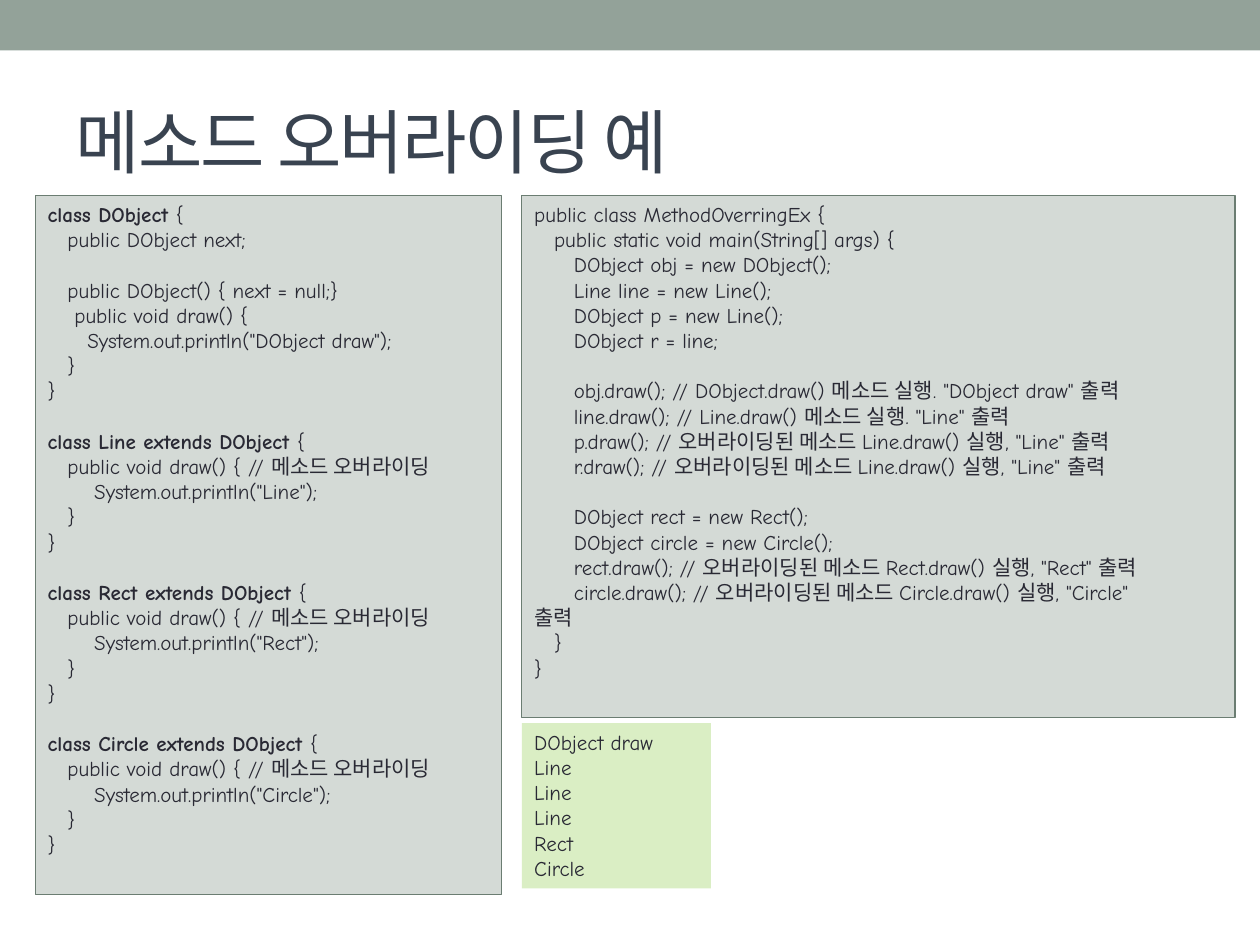
import pptx
import pptx.util
import pptx.dml.color
import pptx.enum.shapes
import pptx.enum.text
import pptx.oxml.ns
import lxml.etree

Cm, Pt = pptx.util.Cm, pptx.util.Pt

# Content; an empty line in a listing becomes space before the next line
TITLE = "메소드 오버라이딩 예"

BASE_CLASS = [
    "class DObject {",
    "\tpublic DObject next;",
    "",
    "\tpublic DObject() { next = null;}",
    "\t public void draw() {",
    '\t\tSystem.out.println("DObject draw");',
    "\t}",
    "}",
]
SUBCLASSES = ["Line", "Rect", "Circle"]
MAIN_CLASS = [
    "public class MethodOverringEx {",
    "\tpublic static void main(String[] args) {",
    "\t\tDObject obj = new DObject();",
    "\t\tLine line = new Line();",
    "\t\tDObject p = new Line();",
    "\t\tDObject r = line;",
    "",
    '\t\tobj.draw(); // DObject.draw() 메소드 실행. "DObject draw" 출력',
    '\t\tline.draw(); // Line.draw() 메소드 실행. "Line" 출력',
    '\t\tp.draw(); // 오버라이딩된 메소드 Line.draw() 실행, "Line" 출력',
    '\t\tr.draw(); // 오버라이딩된 메소드 Line.draw() 실행, "Line" 출력',
    "",
    "\t\tDObject rect = new Rect();",
    "\t\tDObject circle = new Circle();",
    '\t\trect.draw(); // 오버라이딩된 메소드 Rect.draw() 실행, "Rect" 출력',
    '\t\tcircle.draw(); // 오버라이딩된 메소드 Circle.draw() 실행, "Circle"',
    "출력",
    "\t}",
    "}",
]
OUTPUT = ["DObject draw", "Line", "Line", "Line", "Rect", "Circle"]

COLORS = {
    "band": "93A299",
    "title": "394350",
    "text": "292934",
    "code": "D4DAD6",
    "border": "6B7D72",
    "output": "DAEEC4",
}
CODE_FONT, KOREAN_FONT = "Comic Neue", "Noto Sans CJK KR"
CODE_SIZE = 12
LINE_HEIGHT = 1.2 * CODE_SIZE
TAB_STEP = 0.4  # cm

# Layout in cm
LEFT_X, RIGHT_X = 0.71, 10.52
CODE_TOP, OUTPUT_TOP = 3.94, 14.58


def subclass_lines(name):
    return [
        "",
        f"class {name} extends DObject {{",
        "\tpublic void draw() { // 메소드 오버라이딩",
        f'\t\t System.out.println("{name}");',
        "\t}",
        "}",
    ]


def color(name):
    return pptx.dml.color.RGBColor.from_string(COLORS[name])


def add_text(paragraph, text, size=CODE_SIZE, font=CODE_FONT, fill="text", bold=False, spacing=None):
    run = paragraph.add_run()
    run.text = text
    run.font.size = Pt(size)
    run.font.name = font
    run.font.bold = bold
    run.font.color.rgb = color(fill)
    properties = run.font._element
    east_asian = lxml.etree.SubElement(properties, pptx.oxml.ns.qn("a:ea"))
    east_asian.set("typeface", KOREAN_FONT)
    if spacing is not None:
        properties.set("spc", str(spacing * 100))


def add_rectangle(slide, left, top, width, height, fill, border=None):
    shape = slide.shapes.add_shape(
        pptx.enum.shapes.MSO_SHAPE.RECTANGLE, Cm(left), Cm(top), Cm(width), Cm(height)
    )
    shape.shadow.inherit = False
    shape.fill.solid()
    shape.fill.fore_color.rgb = color(fill)
    if border:
        shape.line.color.rgb = color(border)
        shape.line.width = Pt(0.75)
    else:
        shape.line.fill.background()
    return shape


def set_tab_stops(paragraph):
    tab_list = lxml.etree.SubElement(
        paragraph._p.get_or_add_pPr(), pptx.oxml.ns.qn("a:tabLst")
    )
    for level in (1, 2):
        tab = lxml.etree.SubElement(tab_list, pptx.oxml.ns.qn("a:tab"))
        tab.set("pos", str(Cm(TAB_STEP * level)))
        tab.set("algn", "l")


def write_listing(shape, lines):
    frame = shape.text_frame
    frame.word_wrap = True
    frame.vertical_anchor = pptx.enum.text.MSO_ANCHOR.TOP
    paragraph, gap = frame.paragraphs[0], 0
    for number, line in enumerate(lines):
        if not line:
            gap += LINE_HEIGHT
            continue
        if number:
            paragraph = frame.add_paragraph()
        paragraph.alignment = pptx.enum.text.PP_ALIGN.LEFT
        paragraph.space_before = Pt(gap)
        gap = 0
        set_tab_stops(paragraph)
        if line.startswith("class "):  # class headings are bold up to the brace
            add_text(paragraph, line[:-1], bold=True)
            line = line[-1]
        add_text(paragraph, line)


def main():
    presentation = pptx.Presentation()
    presentation.slide_width, presentation.slide_height = Cm(25.4), Cm(19.05)
    slide = presentation.slides.add_slide(presentation.slide_layouts.get_by_name("Title Only"))

    # Top band
    add_rectangle(slide, 0, 0, 25.4, 1.02, "band")

    # Title
    title = slide.shapes.title
    title.left, title.top, title.width, title.height = Cm(1.27), Cm(1.47), Cm(22.86), Cm(2.74)
    title.text_frame.vertical_anchor = pptx.enum.text.MSO_ANCHOR.MIDDLE
    heading = title.text_frame.paragraphs[0]
    heading.alignment = pptx.enum.text.PP_ALIGN.LEFT
    add_text(heading, TITLE, size=40, font=KOREAN_FONT, fill="title", spacing=-1)

    # Class definitions
    classes = BASE_CLASS + [line for name in SUBCLASSES for line in subclass_lines(name)]
    write_listing(add_rectangle(slide, LEFT_X, CODE_TOP, 9.4, 14.1, "code", "border"), classes)

    # Main program and its output
    write_listing(add_rectangle(slide, RIGHT_X, CODE_TOP, 14.38, 10.52, "code", "border"), MAIN_CLASS)
    write_listing(add_rectangle(slide, RIGHT_X, OUTPUT_TOP, 3.81, 3.33, "output"), OUTPUT)

    presentation.save("out.pptx")


if __name__ == "__main__":
    main()
